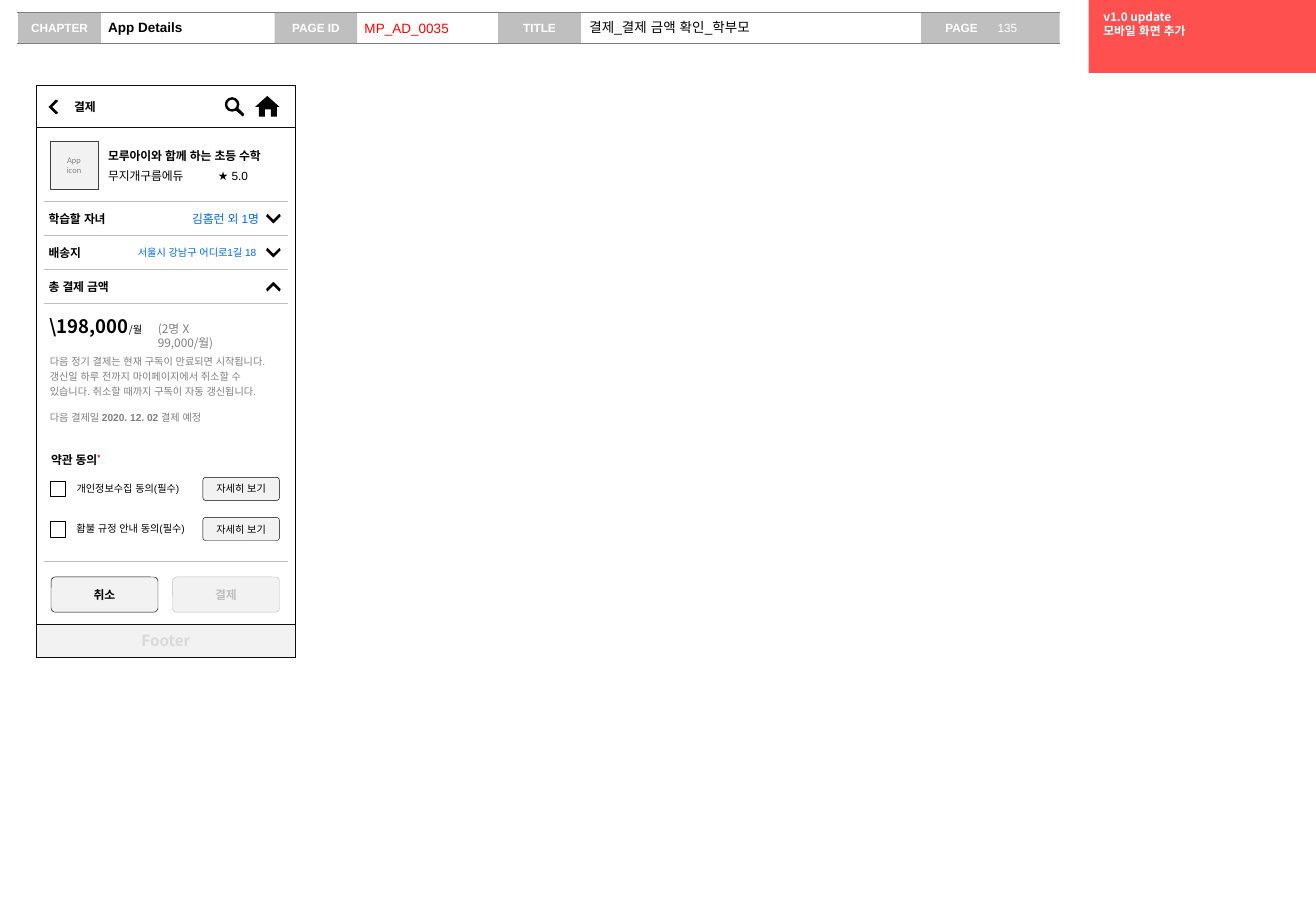
from dataclasses import dataclass

from lxml import etree
from pptx import Presentation
from pptx import util as u
from pptx.dml.color import RGBColor
from pptx.enum import lang, shapes, text
from pptx.oxml import ns

IN = u.Inches
KIND = shapes.MSO_SHAPE
LEFT, CENTER, RIGHT = text.PP_ALIGN.LEFT, text.PP_ALIGN.CENTER, text.PP_ALIGN.RIGHT
TOP, MIDDLE = text.MSO_ANCHOR.TOP, text.MSO_ANCHOR.MIDDLE


@dataclass(frozen=True)
class Theme:
    sans: str = "Arial"
    korean: str = "Noto Sans CJK KR"
    icon_font: str = "Calibri"
    black: str = "000000"
    white: str = "FFFFFF"
    ink: str = "0D0D0D"
    dark: str = "404040"
    rule: str = "7F7F7F"
    muted: str = "808080"
    gray: str = "BFBFBF"
    faint: str = "D9D9D9"
    pale: str = "F2F2F2"
    red: str = "FF0000"
    note: str = "FF5050"
    blue: str = "0066FF"
    tiny: float = 5
    small: float = 6
    body: float = 7
    head: float = 8
    footer: float = 9
    price: float = 11
    hairline: float = 0.25
    header_line: float = 0.75


T = Theme()


def run(p, value, size=T.body, color=T.black, bold=False, font=T.sans):
    r = p.add_run()
    r.text = value
    r.font.size, r.font.bold, r.font.name = u.Pt(size), bold, font
    r.font.language_id = lang.MSO_LANGUAGE_ID.KOREAN
    r.font.color.rgb = RGBColor.from_string(color)
    east = etree.SubElement(r.font._element, ns.qn("a:ea"))
    east.set("typeface", font)
    return r


def frame(sp, align=LEFT, anchor=TOP, ins=(0, 0, 0, 0), wrap=True):
    tf = sp.text_frame
    tf.word_wrap, tf.vertical_anchor = wrap, anchor
    tf.margin_left, tf.margin_top, tf.margin_right, tf.margin_bottom = map(IN, ins)
    tf.paragraphs[0].alignment = align
    return tf


def label(s, x, y, w, h, value="", align=LEFT, anchor=TOP, ins=(0, 0, 0, 0), wrap=True, **style):
    sp = s.shapes.add_textbox(IN(x), IN(y), IN(w), IN(h))
    tf = frame(sp, align, anchor, ins, wrap)
    if value:
        run(tf.paragraphs[0], value, **style)
    return tf


def paint(sp, fill=None, line=None):
    sp.shadow.inherit = False
    if fill:
        sp.fill.solid()
        sp.fill.fore_color.rgb = RGBColor.from_string(fill)
    else:
        sp.fill.background()
    if line:
        sp.line.color.rgb = RGBColor.from_string(line)
        sp.line.width = u.Pt(T.hairline)
    else:
        sp.line.fill.background()


def box(s, x, y, w, h, fill=None, line=None, lines=(), kind=KIND.RECTANGLE, adj=None,
        align=CENTER, anchor=MIDDLE, ins=(0.1, 0.05, 0.1, 0.05), wrap=False, **style):
    sp = s.shapes.add_shape(kind, IN(x), IN(y), IN(w), IN(h))
    paint(sp, fill, line)
    if adj is not None:
        sp.adjustments[0] = adj
    tf = frame(sp, align, anchor, ins, wrap)
    for i, value in enumerate(lines):
        p = tf.add_paragraph() if i else tf.paragraphs[0]
        p.alignment = align
        run(p, value, **style)


def button(s, x, y, w, h, value, line=T.black, **style):
    box(s, x, y, w, h, T.pale, line, [value], KIND.ROUNDED_RECTANGLE, 0.123,
        font=T.korean, **style)


def hline(s, x, y, w, color=T.gray, width=T.hairline):
    c = s.shapes.add_connector(shapes.MSO_CONNECTOR.STRAIGHT, IN(x), IN(y), IN(x + w), IN(y))
    c.line.color.rgb = RGBColor.from_string(color)
    c.line.width = u.Pt(width)
    etree.SubElement(c._element.spPr, ns.qn("a:effectLst"))


def outline(s, x, y, points):
    pts = [(IN(x + dx), IN(y + dy)) for dx, dy in points]
    fb = s.shapes.build_freeform(*pts[0])
    fb.add_line_segments(pts[1:], close=True)
    paint(fb.convert_to_shape(), T.black)


def chevron(s, x, y, way):
    """Arrow centred on x, y."""
    arm = [(0.04, -0.05), (0.02, -0.06), (-0.04, 0), (0.02, 0.06), (0.04, 0.05), (-0.01, 0)]
    turn = {"left": lambda a, b: (a, b), "down": lambda a, b: (b, -a), "up": lambda a, b: (b, a)}
    outline(s, x, y, [turn[way](a, b) for a, b in arm])


def page_header(s, x, y, w, h):
    # Grey tags
    tag = dict(color=T.white, bold=True)
    box(s, x + 7.44, y, 1.14, h, T.gray, lines=["PAGE"], align=LEFT, ins=(0.2, 0.05, 0.1, 0.05), **tag)
    label(s, x + 8.03, y + 0.02, 0.55, 0.22, "135", ins=(0.04, 0.05, 0, 0.05), color=T.white)
    for dx, value in ((0.01, "CHAPTER"), (2.12, "PAGE ID"), (3.96, "TITLE")):
        box(s, x + dx, y, 0.68, h, T.gray, lines=[value], **tag)
    for edge in (y, y + h):
        hline(s, x, edge, w, T.rule, T.header_line)
    # Values
    for dx, width, value, anchor, color, bold in (
            (0.69, 1.43, "App Details", TOP, T.black, True),
            (2.8, 1.16, "MP_AD_0035", MIDDLE, T.red, False),
            (4.65, 2.8, "결제_결제 금액 확인_학부모", TOP, T.black, False)):
        label(s, x + dx, y + 0.01, width, 0.24, value, anchor=anchor,
              ins=(0.06, 0.05, 0, 0.05), size=T.head, color=color, bold=bold)


def update_note(s, x, y, w, h):
    box(s, x, y, w, h, T.note, lines=["v1.0 update", "모바일 화면 추가"], align=LEFT, anchor=TOP,
        ins=(0.12, 0.08, 0.1, 0.05), wrap=True, color=T.white, bold=True, font=T.korean)


def app_bar(s, x, y, w, h):
    box(s, x, y, w, h, T.white, T.ink, ["결제"], align=LEFT, ins=(0.31, 0.05, 0.1, 0.05),
        bold=True, font=T.korean)
    chevron(s, x + 0.14, y + 0.18, "left")
    # Search icon
    box(s, x + 1.55, y + 0.1, 0.12, 0.12, T.black, kind=KIND.DONUT, adj=0.17)
    outline(s, x + 1.64, y + 0.19, [(0.02, 0), (0.07, 0.05), (0.06, 0.07), (0, 0.02)])
    # Home icon
    outline(s, x + 1.8, y + 0.09, [
        (0.08, 0.17), (0.08, 0.11), (0.13, 0.11), (0.13, 0.17), (0.18, 0.17), (0.18, 0.09),
        (0.2, 0.09), (0.1, 0), (0, 0.09), (0.03, 0.09), (0.03, 0.17)])


def app_summary(s, x, y):
    box(s, x, y, 0.4, 0.4, T.pale, T.dark, ["App", "icon"],
        size=T.tiny, color=T.muted, font=T.icon_font)
    label(s, x + 0.48, y + 0.06, 1.42, 0.12, "모루아이와 함께 하는 초등 수학", bold=True)
    label(s, x + 0.48, y + 0.23, 0.73, 0.12, "무지개구름에듀")
    label(s, x + 1.31, y + 0.23, 0.32, 0.12, "★ 5.0", RIGHT)


def option_rows(s, x, y, w, pitch):
    rows = (("학습할 자녀", 0.53, "down"), ("배송지", 0.29, "down"), ("총 결제 금액", 0.56, "up"))
    for i, (value, width, way) in enumerate(rows):
        top = y + i * pitch
        hline(s, x, top, w)
        label(s, x + 0.04, top + 0.08, width, 0.12, value, wrap=False, bold=True)
        chevron(s, x + 1.89, top + 0.14, way)
    hline(s, x, y + len(rows) * pitch, w)
    label(s, x + 1.15, y + 0.08, 0.62, 0.12, "김홈런 외 1명", RIGHT, wrap=False, color=T.blue)
    label(s, x + 0.68, y + pitch + 0.09, 1.07, 0.1, "서울시 강남구 어디로1길 18", RIGHT,
          wrap=False, size=T.small, color=T.blue)


def price_info(s, x, y, w):
    p = label(s, x, y, 0.83, 0.19, wrap=False).paragraphs[0]
    run(p, "\\198,000", T.price, bold=True, font=T.korean)
    run(p, "/월", T.small, font=T.korean)
    p = label(s, x + 0.89, y + 0.06, 0.77, 0.24).paragraphs[0]
    run(p, "(2명 X", color=T.muted, font=T.korean)
    p.add_line_break()
    run(p, "99,000/월)", color=T.muted, font=T.korean)
    # Renewal terms
    tf = label(s, x, y + 0.32, w, 0.59)
    terms, due = tf.paragraphs[0], tf.add_paragraph()
    terms.line_spacing = due.line_spacing = 1.2
    due.space_before = u.Pt(7)
    run(terms, "다음 정기 결제는 현재 구독이 만료되면 시작됩니다. 갱신일 하루 전까지 마이페이지에서 "
        "취소할 수 있습니다. 취소할 때까지 구독이 자동 갱신됩니다.", T.small, T.muted)
    for value, bold in (("다음 결제일 ", False), ("2020. 12. 02", True), (" 결제 예정", False)):
        run(due, value, T.small, T.muted, bold)


def consent(s, x, y):
    p = label(s, x + 0.01, y + 0.01, 0.72, 0.12).paragraphs[0]
    run(p, "약관 동의", bold=True)
    star = run(p, "*", T.head, T.red, True)
    star.font._element.set("baseline", "30000")
    for i, value in enumerate(("개인정보수집 동의(필수)", "홤불 규정 안내 동의(필수)")):
        top = y + 0.24 + i * 0.33
        box(s, x, top + 0.02, 0.13, 0.13, line=T.black)
        label(s, x + 0.22, top + 0.03, 0.95, 0.1, value, wrap=False, size=T.small)
        button(s, x + 1.26, top - 0.01, 0.63, 0.19, "자세히 보기", size=T.small)


def phone(s, x, y, w, h):
    box(s, x, y, w, h, line=T.black)
    app_bar(s, x, y, w, 0.35)
    app_summary(s, x + 0.11, y + 0.46)
    option_rows(s, x + 0.06, y + 0.96, w - 0.12, 0.28)
    price_info(s, x + 0.11, y + 1.89, 1.85)
    consent(s, x + 0.11, y + 3)
    # Actions and footer
    hline(s, x + 0.06, y + 3.92, w - 0.12)
    button(s, x + 0.12, y + 4.05, 0.88, 0.29, "취소", bold=True)
    button(s, x + 1.12, y + 4.05, 0.88, 0.29, "결제", T.gray, color=T.gray, bold=True)
    box(s, x, y + h - 0.27, w, 0.27, T.pale, T.ink, ["Footer"],
        size=T.footer, color=T.faint, bold=True, font=T.korean)


def main():
    prs = Presentation()
    prs.slide_width, prs.slide_height = IN(10.83), IN(7.5)
    s = prs.slides.add_slide(prs.slide_layouts[6])
    page_header(s, 0.14, 0.1, 8.58, 0.26)
    update_note(s, 8.96, 0, 1.87, 0.6)
    phone(s, 0.3, 0.7, 2.13, 4.71)
    prs.save("out.pptx")


if __name__ == "__main__":
    main()
